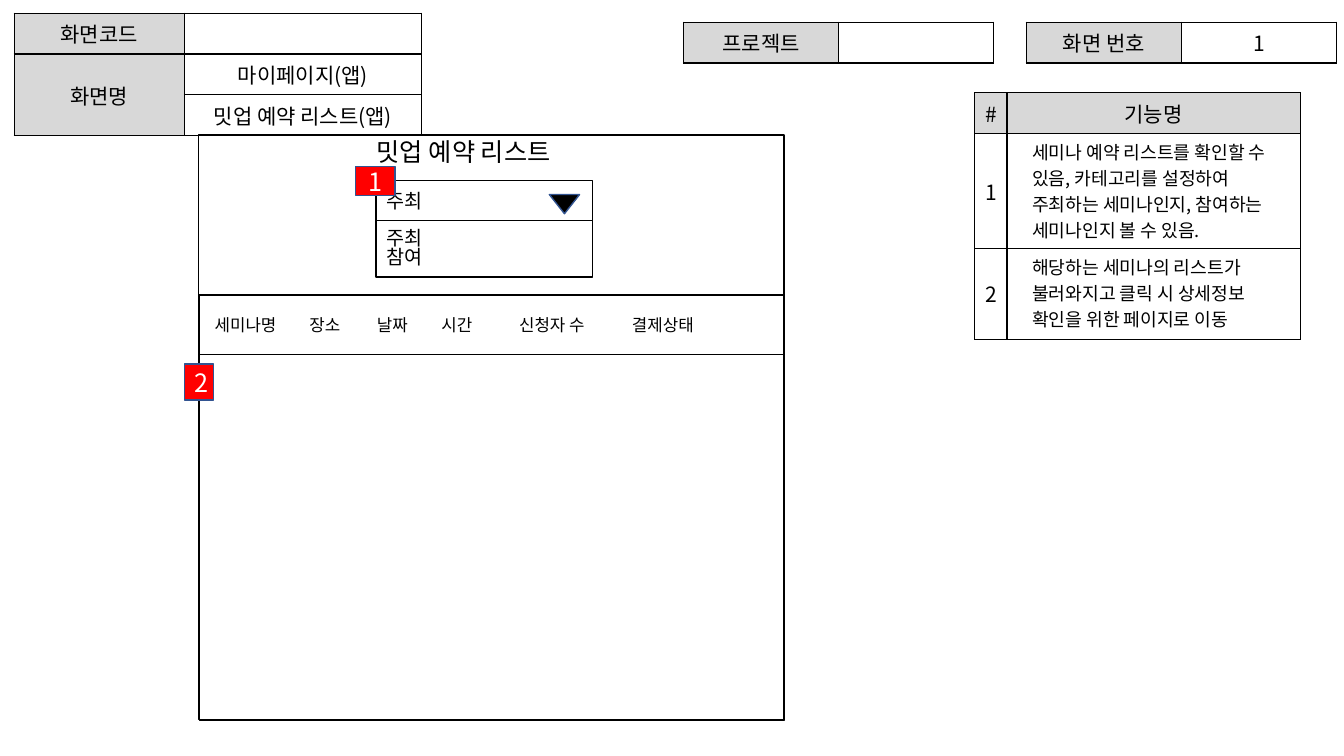
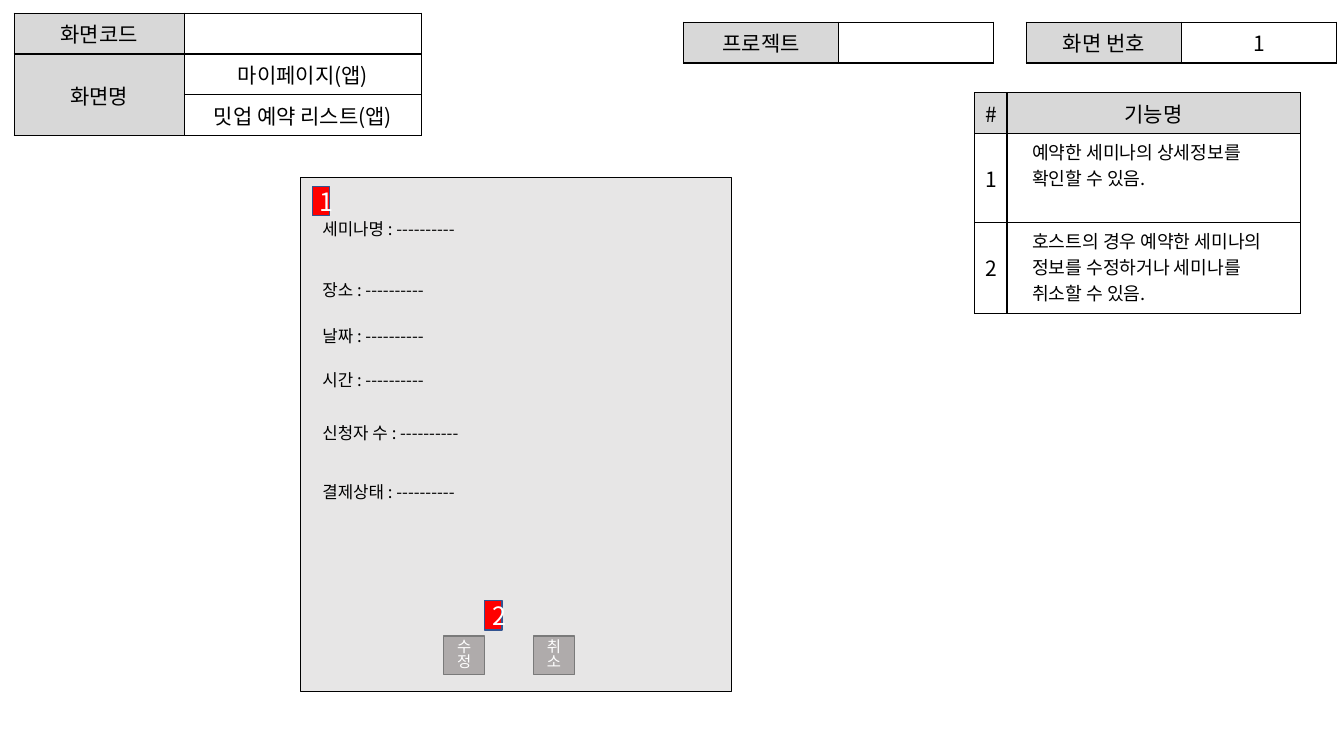
import dataclasses
import typing

import lxml.etree
import pptx
import pptx.dml.color
import pptx.enum.shapes
import pptx.enum.text
import pptx.oxml.ns
import pptx.util

BLACK = pptx.dml.color.RGBColor(0x00, 0x00, 0x00)
WHITE = pptx.dml.color.RGBColor(0xFF, 0xFF, 0xFF)
LABEL_GREY = pptx.dml.color.RGBColor(0xD8, 0xD8, 0xD8)
CARD_GREY = pptx.dml.color.RGBColor(0xE7, 0xE6, 0xE6)
BUTTON_GREY = pptx.dml.color.RGBColor(0xAF, 0xAB, 0xAB)
BUTTON_EDGE = pptx.dml.color.RGBColor(0x7A, 0x7A, 0x7A)
RED = pptx.dml.color.RGBColor(0xFF, 0x00, 0x00)
NAVY = pptx.dml.color.RGBColor(0x32, 0x54, 0x91)
Color = pptx.dml.color.RGBColor

FONT = "Noto Sans CJK KR"
LABEL_SIZE, NOTE_SIZE = 15, 13
WIDTH, HEIGHT = pptx.util.Inches(13.33), pptx.util.Inches(7.5)
COLUMNS, ROWS = 160, 90
LABEL_ROW = 4.87

RECT = pptx.enum.shapes.MSO_SHAPE.RECTANGLE
TRIANGLE = pptx.enum.shapes.MSO_SHAPE.ISOSCELES_TRIANGLE
LEFT = pptx.enum.text.PP_ALIGN.LEFT
CENTER = pptx.enum.text.PP_ALIGN.CENTER
MIDDLE = pptx.enum.text.MSO_ANCHOR.MIDDLE
TOP = pptx.enum.text.MSO_ANCHOR.TOP


@dataclasses.dataclass(frozen=True)
class Part:
    """One wireframe element, placed in grid columns and rows."""

    x: float
    y: float
    w: float
    h: float
    text: str = ""
    size: int = 14
    color: Color = BLACK
    fill: typing.Optional[Color] = None
    edge: typing.Optional[Color] = BLACK
    align: typing.Any = LEFT
    anchor: typing.Any = MIDDLE
    kind: typing.Any = RECT
    spacing: typing.Optional[float] = None
    turn: int = 0
    inset: float = 1.2
    tabs: tuple[float, ...] = ()


@dataclasses.dataclass(frozen=True)
class Cell:
    """One table cell."""

    text: str = ""
    fill: Color = WHITE
    note: bool = False


@dataclasses.dataclass(frozen=True)
class Grid:
    """A bordered table, placed in grid columns and rows."""

    x: float
    y: float
    widths: tuple[float, ...]
    heights: tuple[float, ...]
    cells: tuple[tuple[Cell, ...], ...]
    merge: tuple[tuple[int, int, int, int], ...] = ()


def col(count: float) -> int:
    """Length of a number of grid columns."""
    return round(WIDTH * count / COLUMNS)


def row(count: float) -> int:
    """Length of a number of grid rows."""
    return round(HEIGHT * count / ROWS)


def style_text(frame, size: int, color: Color, align, spacing=None) -> None:
    """Format every paragraph and run of a text frame."""
    for paragraph in frame.paragraphs:
        paragraph.alignment = align
        if spacing:
            paragraph.line_spacing = spacing
        for run in paragraph.runs:
            run.font.size = pptx.util.Pt(size)
            run.font.color.rgb = color
            run.font.name = FONT
            east_asian = lxml.etree.SubElement(
                run.font._element, pptx.oxml.ns.qn("a:ea"))
            east_asian.set("typeface", FONT)


def set_tabs(paragraph, stops: tuple[float, ...]) -> None:
    """Give a paragraph left tab stops, in grid columns."""
    qn = pptx.oxml.ns.qn
    tab_list = lxml.etree.SubElement(
        paragraph._p.get_or_add_pPr(), qn("a:tabLst"))
    for stop in stops:
        lxml.etree.SubElement(
            tab_list, qn("a:tab"), pos=str(col(stop)), algn="l")


def draw_part(slide, part: Part) -> None:
    """Draw a wireframe element with its text."""
    shape = slide.shapes.add_shape(
        part.kind, col(part.x), row(part.y), col(part.w), row(part.h))
    shape.shadow.inherit = False
    shape.rotation = part.turn
    if part.fill is None:
        shape.fill.background()
    else:
        shape.fill.solid()
        shape.fill.fore_color.rgb = part.fill
    if part.edge is None:
        shape.line.fill.background()
    else:
        shape.line.color.rgb = part.edge
        shape.line.width = pptx.util.Pt(1)
    if part.text:
        frame = shape.text_frame
        frame.word_wrap = True
        frame.vertical_anchor = part.anchor
        frame.margin_left = col(part.inset)
        frame.text = part.text
        style_text(frame, part.size, part.color, part.align, part.spacing)
        if part.tabs:
            set_tabs(frame.paragraphs[0], part.tabs)


def draw_text(slide, part: Part) -> None:
    """Draw a plain text box."""
    box = slide.shapes.add_textbox(
        col(part.x), row(part.y), col(part.w), row(part.h))
    box.text_frame.word_wrap = True
    box.text_frame.text = part.text
    style_text(box.text_frame, part.size, part.color, part.align)


def add_borders(cell) -> None:
    """Put a thin black line on each side of a cell."""
    qn = pptx.oxml.ns.qn
    properties = cell._tc.get_or_add_tcPr()
    for side in ("a:lnL", "a:lnR", "a:lnT", "a:lnB"):
        line = lxml.etree.SubElement(
            properties, qn(side), w=str(pptx.util.Pt(1)))
        solid = lxml.etree.SubElement(line, qn("a:solidFill"))
        lxml.etree.SubElement(solid, qn("a:srgbClr"), val=str(BLACK))


def draw_grid(slide, grid: Grid) -> None:
    """Draw a bordered table."""
    table = slide.shapes.add_table(
        len(grid.heights), len(grid.widths), col(grid.x), row(grid.y),
        col(sum(grid.widths)), row(sum(grid.heights))).table
    table.first_row = table.horz_banding = False
    for index, width in enumerate(grid.widths):
        table.columns[index].width = col(width)
    for index, height in enumerate(grid.heights):
        table.rows[index].height = row(height)
    for top, left, bottom, right in grid.merge:
        table.cell(top, left).merge(table.cell(bottom, right))
    for r, line in enumerate(grid.cells):
        for c, content in enumerate(line):
            cell = table.cell(r, c)
            add_borders(cell)
            cell.fill.solid()
            cell.fill.fore_color.rgb = content.fill
            cell.vertical_anchor = TOP if content.note else MIDDLE
            if content.text:
                cell.text_frame.text = content.text
                style_text(cell.text_frame,
                           NOTE_SIZE if content.note else LABEL_SIZE,
                           BLACK, LEFT if content.note else CENTER)
            if content.note:
                indent = cell.text_frame.paragraphs[0]._p.get_or_add_pPr()
                indent.set("marL", str(col(1.8)))
                indent.set("indent", "0")


def label(text: str) -> Cell:
    """A grey heading cell."""
    return Cell(text, LABEL_GREY)


def pair(x: float, name: str, value: str = "") -> Grid:
    """A heading and its value, side by side."""
    return Grid(x, 2.64, (18.48, 18.48), (LABEL_ROW,),
                ((label(name), Cell(value)),))


def badge(x: float, y: float, w: float, h: float, number: str) -> Part:
    """A red number that points to a described function."""
    return Part(x, y, w, h, number, 18, WHITE, RED, NAVY, CENTER)


def button(x: float, text: str) -> Part:
    """A grey button of the detail card."""
    return Part(x, 75.72, 4.92, 4.56, text, 11, WHITE, BUTTON_GREY,
                BUTTON_EDGE, CENTER, spacing=0.82)


def add_screen(deck, notes: tuple[str, ...], heights: tuple[float, ...]):
    """Add a slide with the shared headings and its function table."""
    slide = deck.slides.add_slide(deck.slide_layouts[6])
    functions = tuple((Cell(str(number)), Cell(note, note=True))
                      for number, note in enumerate(notes, 1))
    screen_name = Grid(
        1.68, 1.56, (20.28, 28.2), (LABEL_ROW,) * 3,
        ((label("화면코드"), Cell()),
         (label("화면명"), Cell("마이페이지(앱)")),
         (label(""), Cell("밋업 예약 리스트(앱)"))),
        merge=((1, 0, 2, 0),))
    function_table = Grid(
        116.04, 11.04, (3.84, 34.92), (4.84,) + heights,
        ((label("#"), label("기능명")),) + functions)
    for grid in (screen_name, pair(122.16, "화면 번호", "1"),
                 pair(81.36, "프로젝트"), function_table):
        draw_grid(slide, grid)
    return slide


def build_list_screen(deck) -> None:
    """The list of reserved seminars."""
    slide = add_screen(
        deck,
        ("세미나 예약 리스트를 확인할 수 있음, 카테고리를 설정하여 "
         "주최하는 세미나인지, 참여하는 세미나인지 볼 수 있음.",
         "해당하는 세미나의 리스트가 불러와지고 클릭 시 상세정보 "
         "확인을 위한 페이지로 이동"),
        (13.7, 10.8))
    headings = "\t".join(
        ("세미나명", "장소", "날짜", "시간", "신청자 수", "결제상태"))
    draw_part(slide, Part(23.64, 16.08, 69.72, 69.6))
    draw_text(slide, Part(43.68, 15.6, 31.32, 4.8, "밋업 예약 리스트", 18))
    for part in (
        Part(44.76, 21.48, 25.8, 4.8, "주최"),
        Part(65.4, 23.16, 3.6, 2.28, fill=BLACK, edge=NAVY,
             kind=TRIANGLE, turn=180),
        Part(44.76, 26.28, 25.8, 6.72, "주최\n참여", spacing=0.83),
        badge(42.36, 19.8, 4.68, 3.48, "1"),
        Part(23.76, 35.04, 69.6, 50.76),
        Part(23.76, 35.16, 69.6, 7.08, headings, 12, inset=1.8,
             tabs=(11.28, 19.32, 27, 36.24, 49.68)),
        badge(21.96, 43.32, 3.48, 4.32, "2"),
    ):
        draw_part(slide, part)


def build_detail_screen(deck) -> None:
    """The details of one reserved seminar."""
    slide = add_screen(
        deck,
        ("예약한 세미나의 상세정보를 확인할 수 있음.",
         "호스트의 경우 예약한 세미나의 정보를 수정하거나 세미나를 "
         "취소할 수 있음."),
        (10.6, 10.8))
    draw_part(slide, Part(35.76, 21.12, 51.36, 61.2, fill=CARD_GREY))
    for y, field in ((25.44, "세미나명"), (32.76, "장소"), (38.16, "날짜"),
                     (43.44, "시간"), (49.68, "신청자 수"),
                     (56.76, "결제상태")):
        draw_text(slide, Part(37.2, y, 24.24, 4.2,
                              f"{field} : ----------", 12))
    for part in (button(52.8, "수정"), button(63.48, "취소"),
                 badge(37.2, 22.2, 2.04, 3.48, "1"),
                 badge(57.72, 71.52, 2.04, 3.48, "2")):
        draw_part(slide, part)


def main() -> None:
    """Build and save the deck."""
    deck = pptx.Presentation()
    deck.slide_width, deck.slide_height = WIDTH, HEIGHT
    build_list_screen(deck)
    build_detail_screen(deck)
    deck.save("out.pptx")


main()
